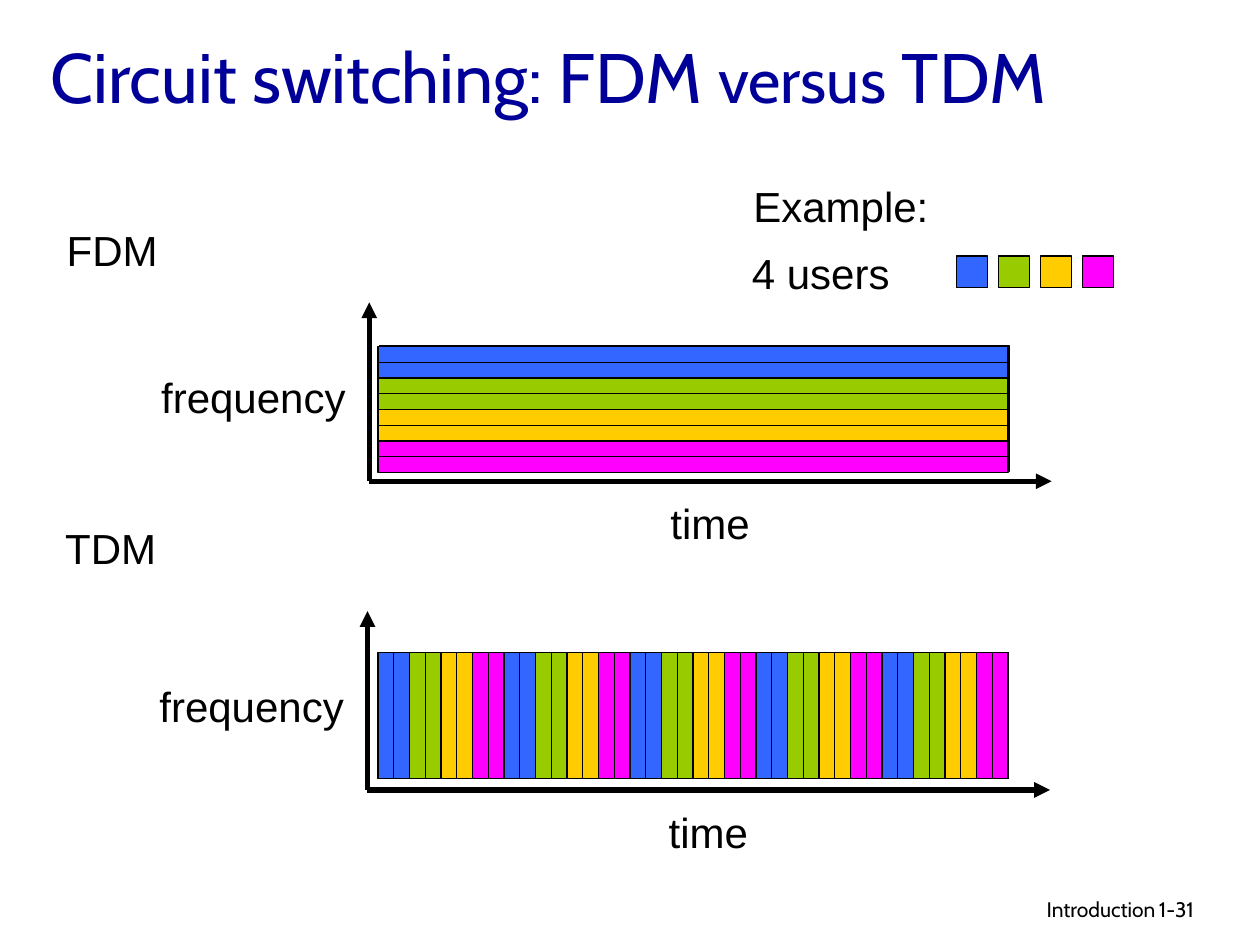
from lxml import etree
from pptx import Presentation
from pptx.dml.color import RGBColor
from pptx.enum import shapes, text
from pptx.oxml.ns import qn
from pptx.util import Pt

BLACK = RGBColor(0x00, 0x00, 0x00)
NAVY = RGBColor(0x00, 0x00, 0x99)
TEAL = RGBColor(0x00, 0xCC, 0x99)
USERS = [RGBColor(0x33, 0x66, 0xFF), RGBColor(0x99, 0xCC, 0x00),
         RGBColor(0xFF, 0xCC, 0x00), RGBColor(0xFF, 0x00, 0xFF)]

TOP, LEFT, BOTTOM, RIGHT = range(4)  # connection sites of a rectangle
BAND = 18                            # width of one user's band or slot
PLOT_LEFT, PLOT_WIDTH, PLOT_HEIGHT = 216, 360, 72
FRAME_INSETS = dict(margin_left=Pt(7.2), margin_right=Pt(7.2),
                    margin_top=Pt(3.6), margin_bottom=Pt(3.6), word_wrap=True)


def apply(target, values):
    for name, value in values.items():
        setattr(target, name, value)


def add_run(paragraph, words, size, font, colour):
    run = paragraph.add_run()
    run.text = words
    apply(run.font, dict(size=Pt(size), name=font))
    run.font.color.rgb = colour


def add_title(slide):
    title = slide.shapes.title
    apply(title, dict(left=Pt(21.6), top=Pt(5.8), width=Pt(666.7), height=Pt(74.9)))
    apply(title.text_frame, FRAME_INSETS)
    apply(title.text_frame, dict(vertical_anchor=text.MSO_ANCHOR.MIDDLE,
                                 auto_size=text.MSO_AUTO_SIZE.NONE))
    heading = title.text_frame.paragraphs[0]
    heading.alignment = text.PP_ALIGN.LEFT
    for words, size in (("Circuit switching: FDM ", 40), ("versus", 36), (" TDM", 40)):
        add_run(heading, words, size, "Cabin", NAVY)


def add_label(slide, words, left, top, width, height=36, size=24, font="Arial",
              align=text.PP_ALIGN.LEFT):
    label = slide.shapes.add_textbox(Pt(left), Pt(top), Pt(width), Pt(height))
    apply(label.text_frame, FRAME_INSETS)
    paragraph = label.text_frame.paragraphs[0]
    paragraph.alignment = align
    add_run(paragraph, words, size, font, BLACK)


def add_block(slide, left, top, width, height, colour):
    block = slide.shapes.add_shape(shapes.MSO_SHAPE.RECTANGLE,
                                   Pt(left), Pt(top), Pt(width), Pt(height))
    block.shadow.inherit = False
    block.fill.solid()
    block.fill.fore_color.rgb = colour
    block.line.color.rgb = BLACK
    block.line.width = Pt(0.75)
    return block


def add_line(slide, x1, y1, x2, y2, weight=0.75, arrow=False):
    line = slide.shapes.add_connector(shapes.MSO_CONNECTOR.STRAIGHT,
                                      Pt(x1), Pt(y1), Pt(x2), Pt(y2))
    line.line.color.rgb = BLACK
    line.line.width = Pt(weight)
    if arrow:
        etree.SubElement(line.line._get_or_add_ln(), qn("a:tailEnd"), type="triangle")
    etree.SubElement(line._element.spPr, qn("a:effectLst"))
    return line


def join(line, block, start, end):
    line.begin_connect(block, start)
    line.end_connect(block, end)


def add_axes(slide, x, y):
    add_line(slide, x, y, x, y - 102.2, 3, arrow=True)
    add_line(slide, x, y, x + 390, y, 3, arrow=True)
    add_label(slide, "frequency", x - 126, y - 66.2, 121)
    add_label(slide, "time", x + 165, y + 5.8, 60)


def add_fdm_bands(slide, top):
    add_block(slide, PLOT_LEFT + 0.7, top - 0.7, PLOT_WIDTH, PLOT_HEIGHT, TEAL)
    bands = [add_block(slide, PLOT_LEFT, top + i * BAND, PLOT_WIDTH, BAND, colour)
             for i, colour in enumerate(USERS)]
    right = PLOT_LEFT + PLOT_WIDTH
    # Borders between bands, then the halves of each band
    for i in range(1, len(bands)):
        y = top + i * BAND
        add_line(slide, PLOT_LEFT, y, right, y)
    for i, band in enumerate(bands):
        y = top + (i + 0.5) * BAND
        join(add_line(slide, PLOT_LEFT, y, right, y), band, LEFT, RIGHT)


def add_tdm_slots(slide, top):
    backdrop = add_block(slide, PLOT_LEFT, top, PLOT_WIDTH, PLOT_HEIGHT, TEAL)
    slots = [add_block(slide, PLOT_LEFT + i * BAND, top, BAND, PLOT_HEIGHT,
                       USERS[i % len(USERS)])
             for i in range(PLOT_WIDTH // BAND)]
    bottom = top + PLOT_HEIGHT
    # Borders between slots, then the halves of each slot
    for i in range(1, len(slots)):
        x = PLOT_LEFT + i * BAND
        border = add_line(slide, x, top, x, bottom)
        if 2 * i == len(slots):
            join(border, backdrop, TOP, BOTTOM)
    for i, slot in enumerate(slots):
        x = PLOT_LEFT + (i + 0.5) * BAND
        join(add_line(slide, x, top, x, bottom), slot, TOP, BOTTOM)


def add_legend(slide):
    add_label(slide, "Example:", 423.4, 99.4, 115)
    add_label(slide, "4 users", 422.6, 138.2, 94)
    for i, colour in enumerate(USERS):
        add_block(slide, 546.5 + i * 24, 146.2, BAND, BAND, colour)


def main():
    deck = Presentation()
    deck.slide_width, deck.slide_height = Pt(720), Pt(540)
    slide = deck.slides.add_slide(deck.slide_layouts[5])
    add_title(slide)

    # Frequency division
    add_label(slide, "FDM", 31, 124.6, 67)
    add_axes(slide, 211, 275)
    add_fdm_bands(slide, 198)

    # Time division
    add_label(slide, "TDM", 30.2, 295.2, 67)
    add_axes(slide, 210, 451.4)
    add_tdm_slots(slide, 373)

    add_legend(slide)

    # Footer
    add_label(slide, "Introduction", 439.2, 509, 228.2, 22, 12, "Cabin",
              text.PP_ALIGN.RIGHT)
    add_label(slide, "1-31", 655.2, 509, 53.3, 21.6, 12, "Cabin")
    deck.save("out.pptx")


if __name__ == "__main__":
    main()
